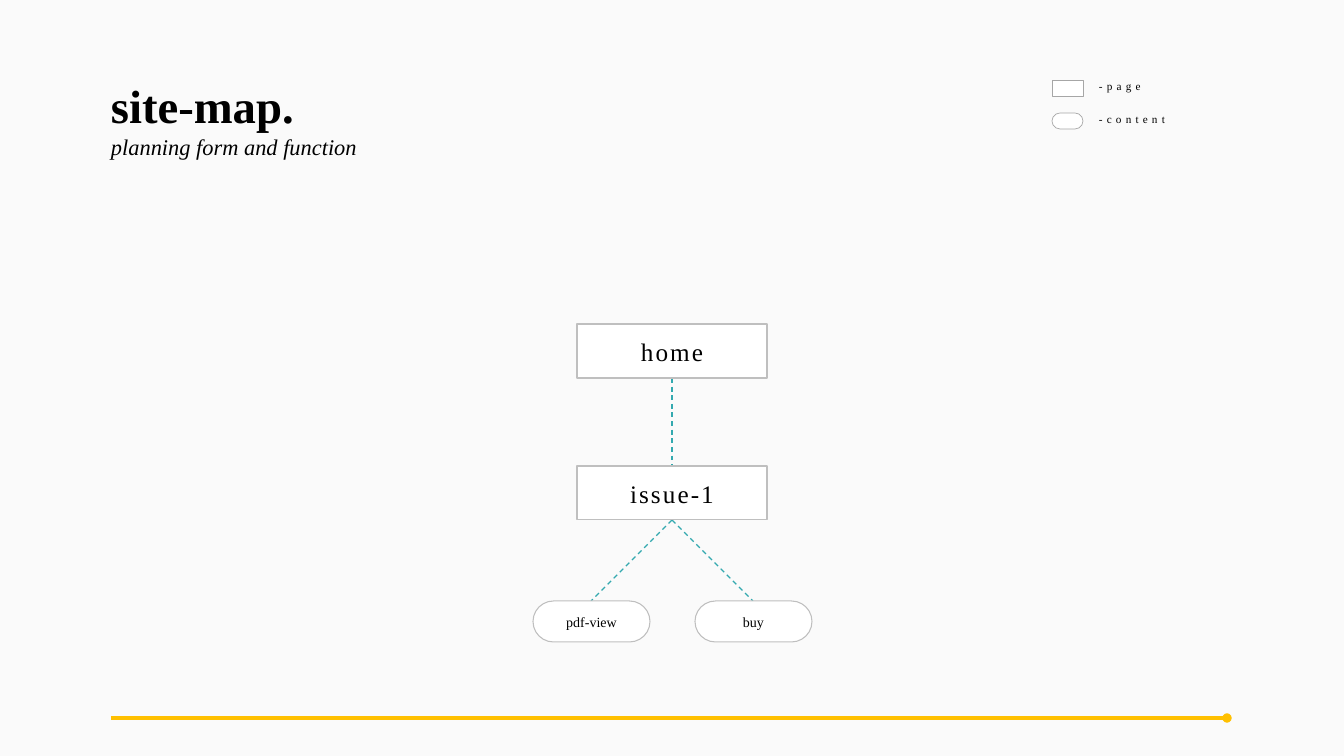
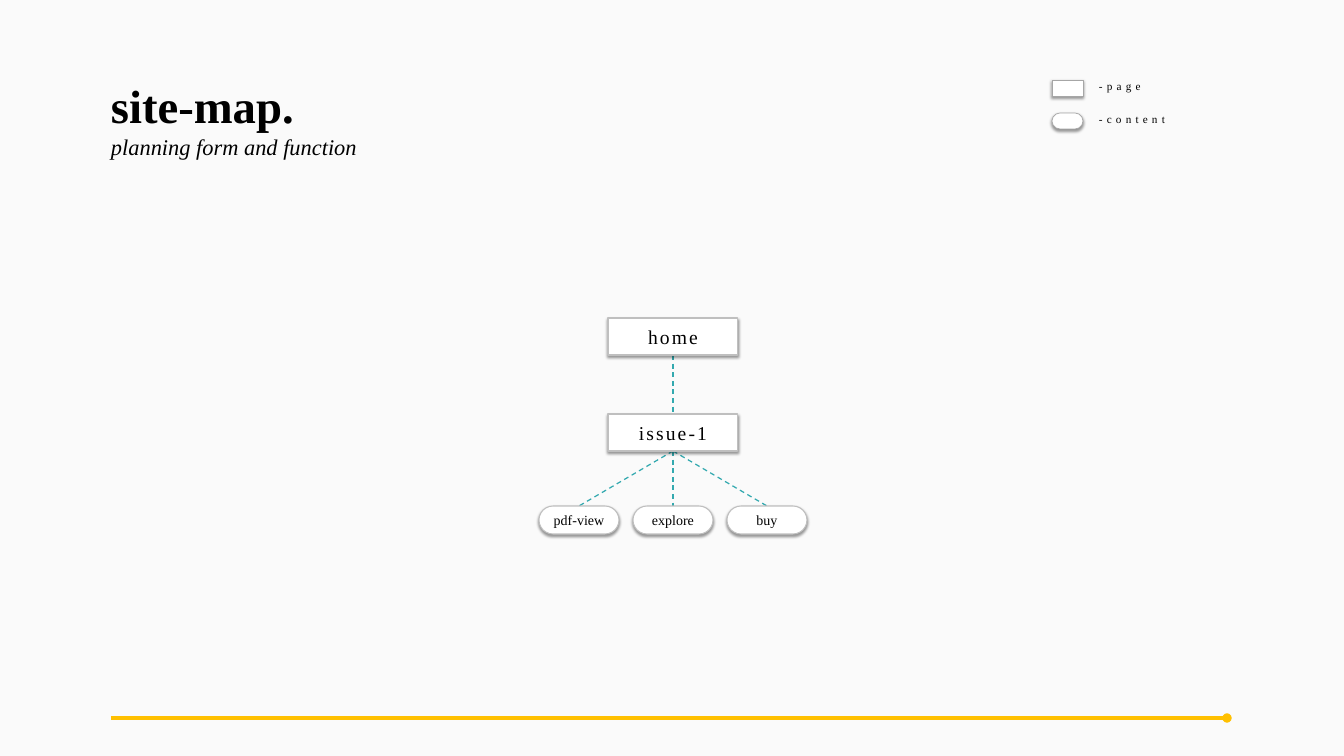
from dataclasses import dataclass

from lxml import etree
from pptx import Presentation
from pptx import util as u
from pptx.dml import color
from pptx.enum import dml, shapes, text
from pptx.oxml import ns

EMU_PER_PIXEL = 914400 / 50.4


@dataclass(frozen=True)
class Theme:
    font: str = "Times New Roman"
    background: str = "FAFAFA"
    ink: str = "000000"
    node_fill: str = "FFFFFF"
    node_line: str = "BFBFBF"
    legend_line: str = "A6A6A6"
    link: str = "33A9AF"
    footer: str = "FFC000"
    title_size: float = 66.7
    subtitle_size: float = 32
    content_size: float = 20
    legend_size: float = 16
    node_width: float = 1.5
    legend_width: float = 1
    link_width: float = 1.75
    footer_width: float = 4.5
    page_spacing: float = 3
    legend_spacing: float = 6


@dataclass(frozen=True)
class Box:
    left: int
    top: int
    width: int
    height: int

    @property
    def center(self) -> int:
        return self.left + self.width // 2

    @property
    def bottom(self) -> int:
        return self.top + self.height


@dataclass(frozen=True)
class SiteMap:
    center: int
    page_tops: tuple[int, int]
    page_size: tuple[int, int]
    page_text: float
    content_top: int
    content_size: tuple[int, int]
    content_pitch: int
    contents: tuple[str, ...]
    raised: bool


THEME = Theme()
PAGE = shapes.MSO_SHAPE.RECTANGLE
CONTENT = shapes.MSO_SHAPE.ROUNDED_RECTANGLE
PAGES = ("home", "issue-1")
LEGEND = ((PAGE, "-page"), (CONTENT, "-content"))
SITE_MAPS = (
    SiteMap(672, (324, 466), (190, 54), 36, 601, (117, 41), 162,
            ("pdf-view", "buy"), False),
    SiteMap(673, (318, 414), (130, 37), 28, 506, (80, 28), 94,
            ("pdf-view", "explore", "buy"), True),
)


def px(value: float) -> u.Emu:
    return u.Emu(round(value * EMU_PER_PIXEL))


def rgb(value: str) -> color.RGBColor:
    return color.RGBColor.from_string(value)


def place(box: Box) -> tuple[u.Emu, ...]:
    return px(box.left), px(box.top), px(box.width), px(box.height)


def style_text(paragraph, size: float, spacing: float = 0,
               bold: bool = False, italic: bool = False) -> None:
    for run in paragraph.runs:
        run.font.name = THEME.font
        run.font.size = u.Pt(size)
        run.font.bold = bold
        run.font.italic = italic
        run.font.color.rgb = rgb(THEME.ink)
        if spacing:
            run.font._element.set("spc", str(round(spacing * 100)))


def add_shadow(shape) -> None:
    effects = shape.element.spPr.find(ns.qn("a:effectLst"))
    shadow = etree.SubElement(effects, ns.qn("a:outerShdw"), blurRad=str(u.Pt(4)),
                              dist=str(u.Pt(3)), dir="5400000", algn="t", rotWithShape="0")
    tint = etree.SubElement(shadow, ns.qn("a:srgbClr"), val=THEME.ink)
    etree.SubElement(tint, ns.qn("a:alpha"), val="40000")


def add_outline(parent, kind, box: Box, line: str, width: float, raised: bool):
    shape = parent.add_shape(kind, *place(box))
    if kind == CONTENT:
        shape.adjustments[0] = 0.5
    shape.fill.solid()
    shape.fill.fore_color.rgb = rgb(THEME.node_fill)
    shape.line.color.rgb = rgb(line)
    shape.line.width = u.Pt(width)
    shape.shadow.inherit = False
    if raised:
        add_shadow(shape)
    return shape


def add_node(parent, kind, box: Box, label: str, size: float, raised: bool) -> None:
    shape = add_outline(parent, kind, box, THEME.node_line, THEME.node_width, raised)
    shape.text_frame.text = label
    shape.text_frame.vertical_anchor = text.MSO_ANCHOR.MIDDLE
    paragraph = shape.text_frame.paragraphs[0]
    paragraph.alignment = text.PP_ALIGN.CENTER
    style_text(paragraph, size, THEME.page_spacing if kind == PAGE else 0)


def add_line(parent, start: tuple[int, int], end: tuple[int, int],
             line: str, width: float):
    connector = parent.add_connector(shapes.MSO_CONNECTOR.STRAIGHT,
                                     px(start[0]), px(start[1]), px(end[0]), px(end[1]))
    connector.line.color.rgb = rgb(line)
    connector.line.width = u.Pt(width)
    etree.SubElement(connector.element.spPr, ns.qn("a:effectLst"))
    return connector


def add_link(parent, upper: Box, lower: Box) -> None:
    connector = add_line(parent, (upper.center, upper.bottom), (lower.center, lower.top),
                         THEME.link, THEME.link_width)
    connector.line.dash_style = dml.MSO_LINE.DASH


def add_footer(slide) -> None:
    connector = add_line(slide.shapes, (111, 718), (1227, 718),
                         THEME.footer, THEME.footer_width)
    outline = connector.element.spPr.find(ns.qn("a:ln"))
    etree.SubElement(outline, ns.qn("a:tailEnd"), type="oval")


def add_title(slide) -> None:
    frame = slide.shapes.add_textbox(*place(Box(106, 69, 381, 61))).text_frame
    frame.word_wrap = True
    frame.margin_top = px(8)
    frame.text = "site-map.\nplanning form and function"
    title, subtitle = frame.paragraphs
    style_text(title, THEME.title_size, bold=True)
    style_text(subtitle, THEME.subtitle_size, italic=True)


def add_legend(slide, raised: bool) -> None:
    group = slide.shapes.add_group_shape().shapes
    for row, (kind, label) in enumerate(LEGEND):
        top = 80 + row * 33
        add_outline(group, kind, Box(1052, top, 31, 16),
                    THEME.legend_line, THEME.legend_width, raised)
        frame = group.add_textbox(*place(Box(1094, top - 3, 216, 19))).text_frame
        frame.word_wrap = True
        frame.auto_size = text.MSO_AUTO_SIZE.SHAPE_TO_FIT_TEXT
        frame.text = label
        style_text(frame.paragraphs[0], THEME.legend_size, THEME.legend_spacing)


def add_site_map(slide, site_map: SiteMap) -> None:
    group = slide.shapes.add_group_shape().shapes
    width, height = site_map.page_size
    pages = [Box(site_map.center - width // 2, top, width, height)
             for top in site_map.page_tops]
    width, height = site_map.content_size
    span = site_map.content_pitch * (len(site_map.contents) - 1)
    first = site_map.center - span // 2 - width // 2
    contents = [Box(first + index * site_map.content_pitch, site_map.content_top, width, height)
                for index in range(len(site_map.contents))]
    home, issue = pages
    add_link(group, home, issue)
    for content in contents:
        add_link(group, issue, content)
    for box, label in zip(pages, PAGES):
        add_node(group, PAGE, box, label, site_map.page_text, site_map.raised)
    for box, label in zip(contents, site_map.contents):
        add_node(group, CONTENT, box, label, THEME.content_size, site_map.raised)


def add_slide(presentation, site_map: SiteMap) -> None:
    slide = presentation.slides.add_slide(presentation.slide_layouts[6])
    slide.background.fill.solid()
    slide.background.fill.fore_color.rgb = rgb(THEME.background)
    add_footer(slide)
    add_title(slide)
    add_site_map(slide, site_map)
    add_legend(slide, site_map.raised)


def main() -> None:
    presentation = Presentation()
    presentation.slide_width = px(1344)
    presentation.slide_height = px(756)
    for site_map in SITE_MAPS:
        add_slide(presentation, site_map)
    presentation.save("out.pptx")


main()
